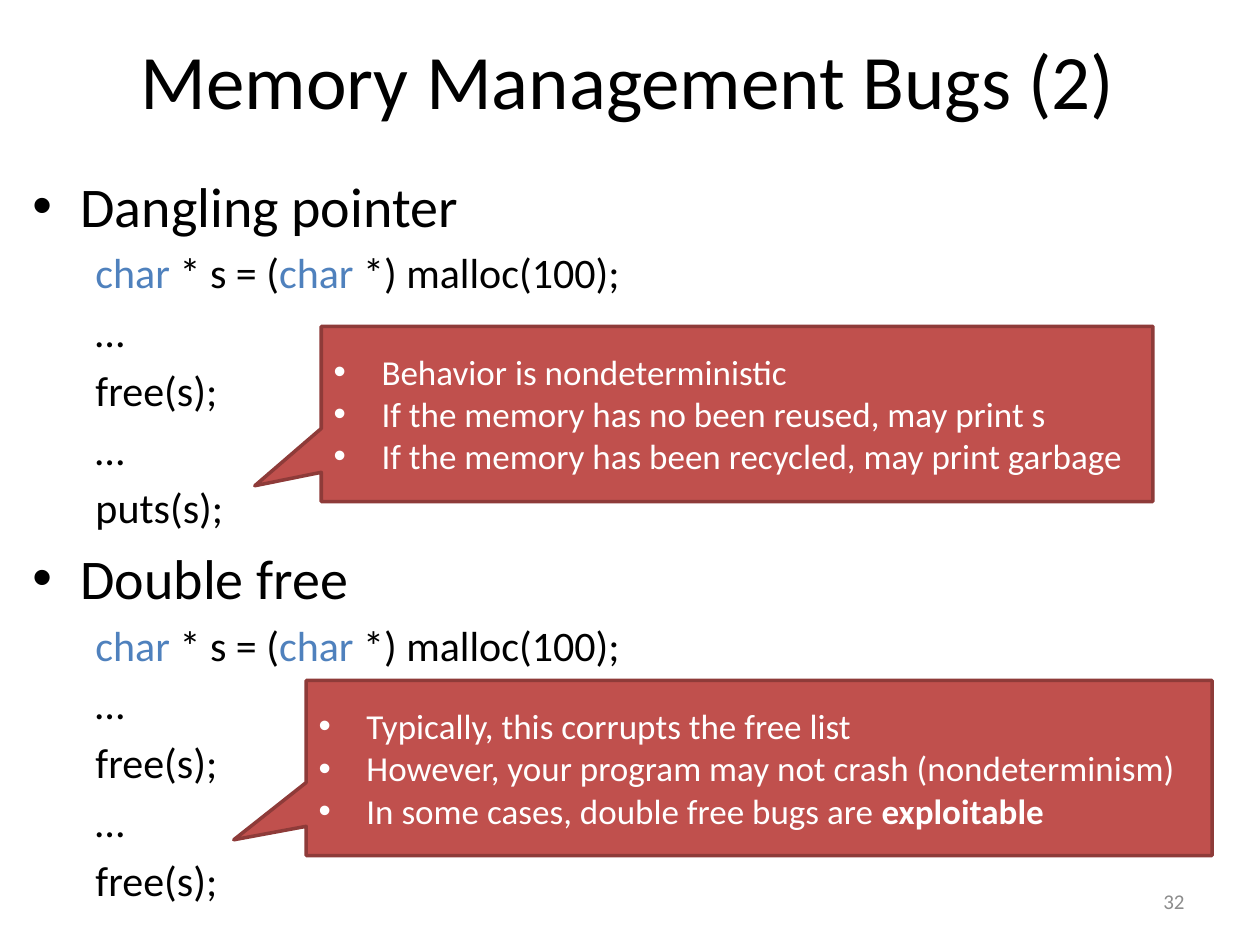
from pptx import Presentation
from pptx.dml.color import RGBColor
from pptx.enum.shapes import MSO_SHAPE
from pptx.enum.text import MSO_ANCHOR, PP_ALIGN
from pptx.oxml.xmlchemy import OxmlElement
from pptx.util import Inches, Pt

COLORS = {"text": "000000", "keyword": "4F81BD", "callout": "C0504D",
          "edge": "8E3B39", "light": "FFFFFF", "number": "8C8C8C"}
FONT = "Calibri"
COLS, ROWS = 100, 75
HANGING = (0.38, -0.38)

DECLARE = [("char", "keyword"), (" * s = (",), ("char", "keyword"), (" *) malloc(100);",)]
EXAMPLES = {
    "Dangling pointer": [DECLARE, "…", "free(s);", "…", "puts(s);"],
    "Double free": [DECLARE, "…", "free(s);", "…", "free(s);"],
}
CALLOUTS = [
    ((25.5, 25.9, 66, 13.9), [
        "Behavior is nondeterministic",
        "If the memory has no been reused, may print s",
        "If the memory has been recycled, may print garbage"]),
    ((24.3, 54, 71.9, 13.9), [
        "Typically, this corrupts the free list",
        "However, your program may not crash (nondeterminism)",
        [("In some cases, double free bugs are ",), ("exploitable", "light", True)]]),
]


class SlideBuilder:
    def __init__(self, prs):
        self.prs = prs
        self.s = prs.slides.add_slide(prs.slide_layouts[5])

    def box(self, cells):
        """Turn (column, row, columns, rows) into left, top, width, height."""
        col, row = self.prs.slide_width / COLS, self.prs.slide_height / ROWS
        return [int(n * unit) for n, unit in zip(cells, (col, row, col, row))]

    def frame(self, sp, anchor):
        tf = sp.text_frame
        for name, value in {"word_wrap": True, "vertical_anchor": anchor}.items():
            setattr(tf, name, value)
        return tf

    def run(self, p, size, default, text, color=None, bold=False):
        r = p.add_run()
        r.text = text
        for name, value in {"name": FONT, "size": Pt(size), "bold": bold}.items():
            setattr(r.font, name, value)
        r.font.color.rgb = RGBColor.from_string(COLORS[color or default])

    def paragraph(self, tf, content, size, color="text", indent=(0, 0),
                  bullet=False, before=0, align=PP_ALIGN.LEFT):
        """Add a line; content is a string or a list of (text, color, bold) tuples."""
        first = not tf.paragraphs[0].runs
        p = tf.paragraphs[0] if first else tf.add_paragraph()
        pPr = p._p.get_or_add_pPr()
        pPr.set("marL", str(Inches(indent[0])))
        pPr.set("indent", str(Inches(indent[1])))
        if bullet:
            font = OxmlElement("a:buFont")
            font.set("typeface", "Arial")
            char = OxmlElement("a:buChar")
            char.set("char", "•")
            pPr.extend([font, char])
        p.alignment = align
        p.space_before = Pt(0 if first else before)
        for part in [(content,)] if isinstance(content, str) else content:
            self.run(p, size, color, *part)

    def title(self, text, cells):
        sp = self.s.shapes.title
        sp.left, sp.top, sp.width, sp.height = self.box(cells)
        self.paragraph(self.frame(sp, MSO_ANCHOR.MIDDLE), text, 44, align=PP_ALIGN.CENTER)

    def examples(self, examples, cells):
        sp = self.s.shapes.add_textbox(*self.box(cells))
        tf = self.frame(sp, MSO_ANCHOR.TOP)
        for heading, code in examples.items():
            self.paragraph(tf, heading, 32, indent=HANGING, bullet=True, before=6.4)
            for line in code:
                self.paragraph(tf, line, 24, indent=(0.5, 0), before=4.8)

    def callout(self, lines, cells):
        sp = self.s.shapes.add_shape(MSO_SHAPE.RECTANGULAR_CALLOUT, *self.box(cells))
        sp.adjustments[0], sp.adjustments[1] = -0.58, 0.41
        sp.shadow.inherit = False
        sp.fill.solid()
        sp.fill.fore_color.rgb = RGBColor.from_string(COLORS["callout"])
        sp.line.color.rgb = RGBColor.from_string(COLORS["edge"])
        sp.line.width = Pt(2)
        tf = self.frame(sp, MSO_ANCHOR.MIDDLE)
        for line in lines:
            self.paragraph(tf, line, 20, "light", HANGING, bullet=True)

    def number(self, text, cells):
        sp = self.s.shapes.add_textbox(*self.box(cells))
        self.paragraph(self.frame(sp, MSO_ANCHOR.MIDDLE), text, 12, "number",
                       align=PP_ALIGN.RIGHT)


def main():
    prs = Presentation()
    prs.slide_width, prs.slide_height = Inches(10), Inches(7.5)
    slide = SlideBuilder(prs)
    slide.title("Memory Management Bugs (2)", (0.5, 0, 98.7, 12.5))
    slide.examples(EXAMPLES, (1.6, 13.1, 96.3, 60.4))
    slide.number("32", (71.7, 69.5, 23.3, 4))
    for cells, lines in CALLOUTS:
        slide.callout(lines, cells)
    prs.save("out.pptx")


if __name__ == "__main__":
    main()
